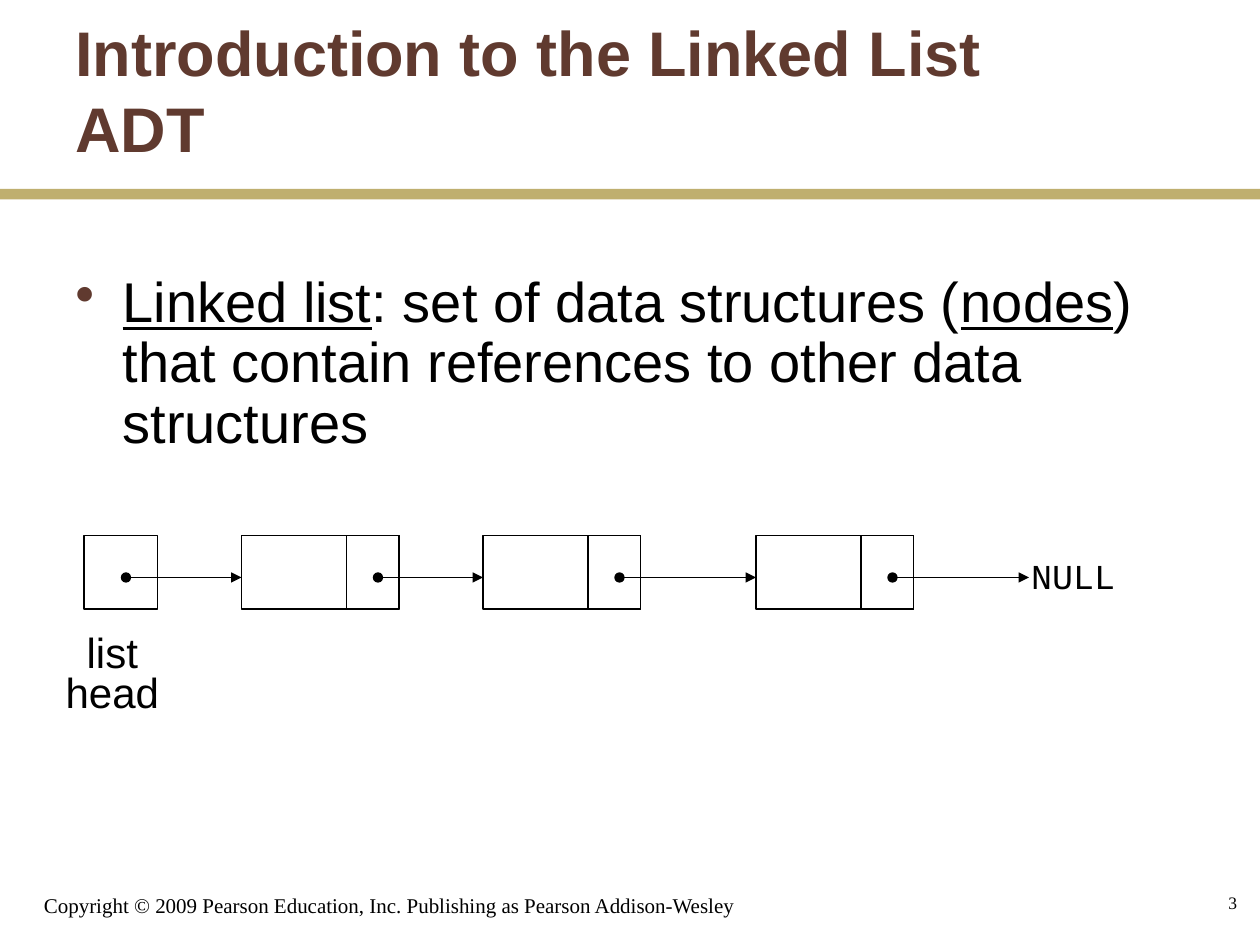
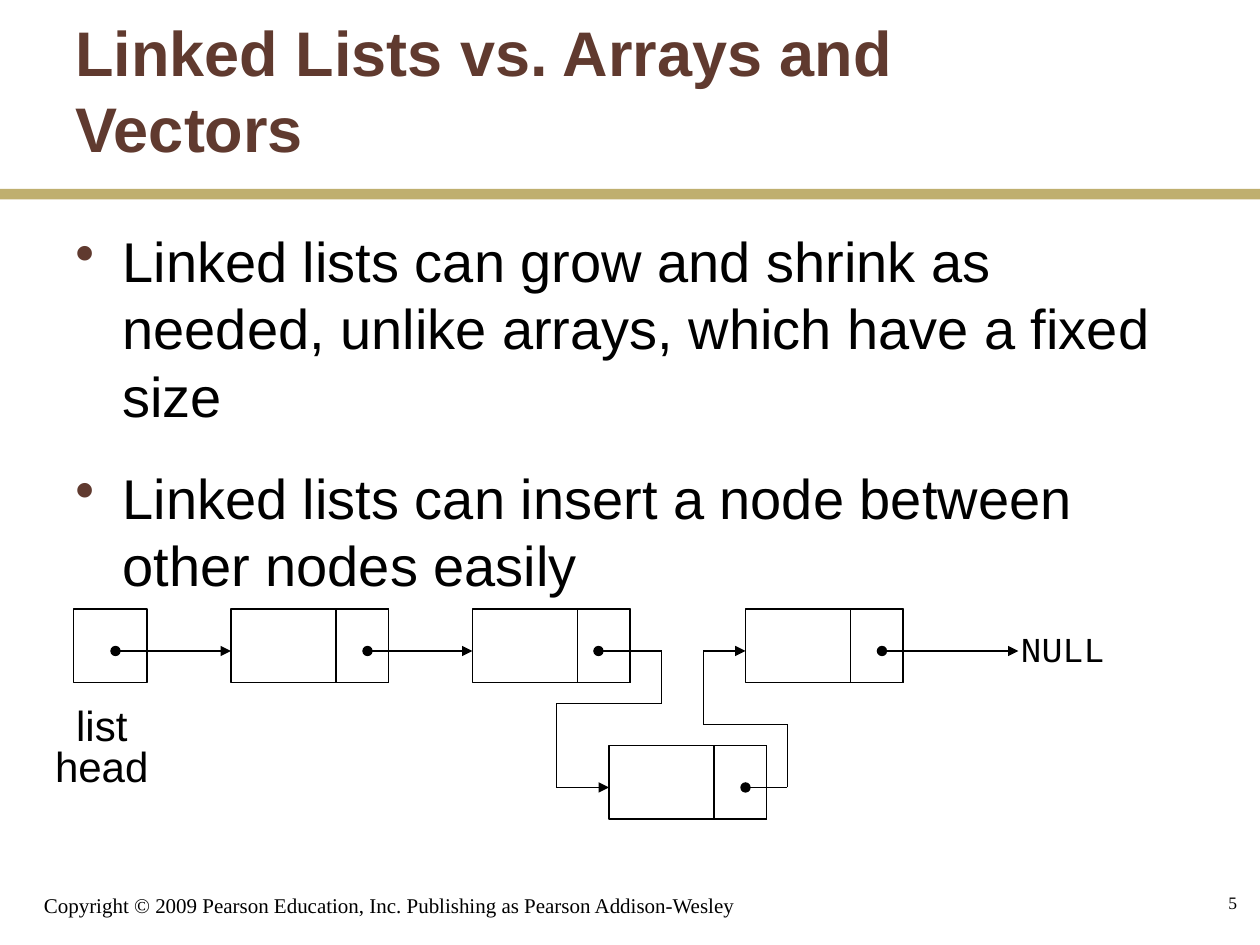
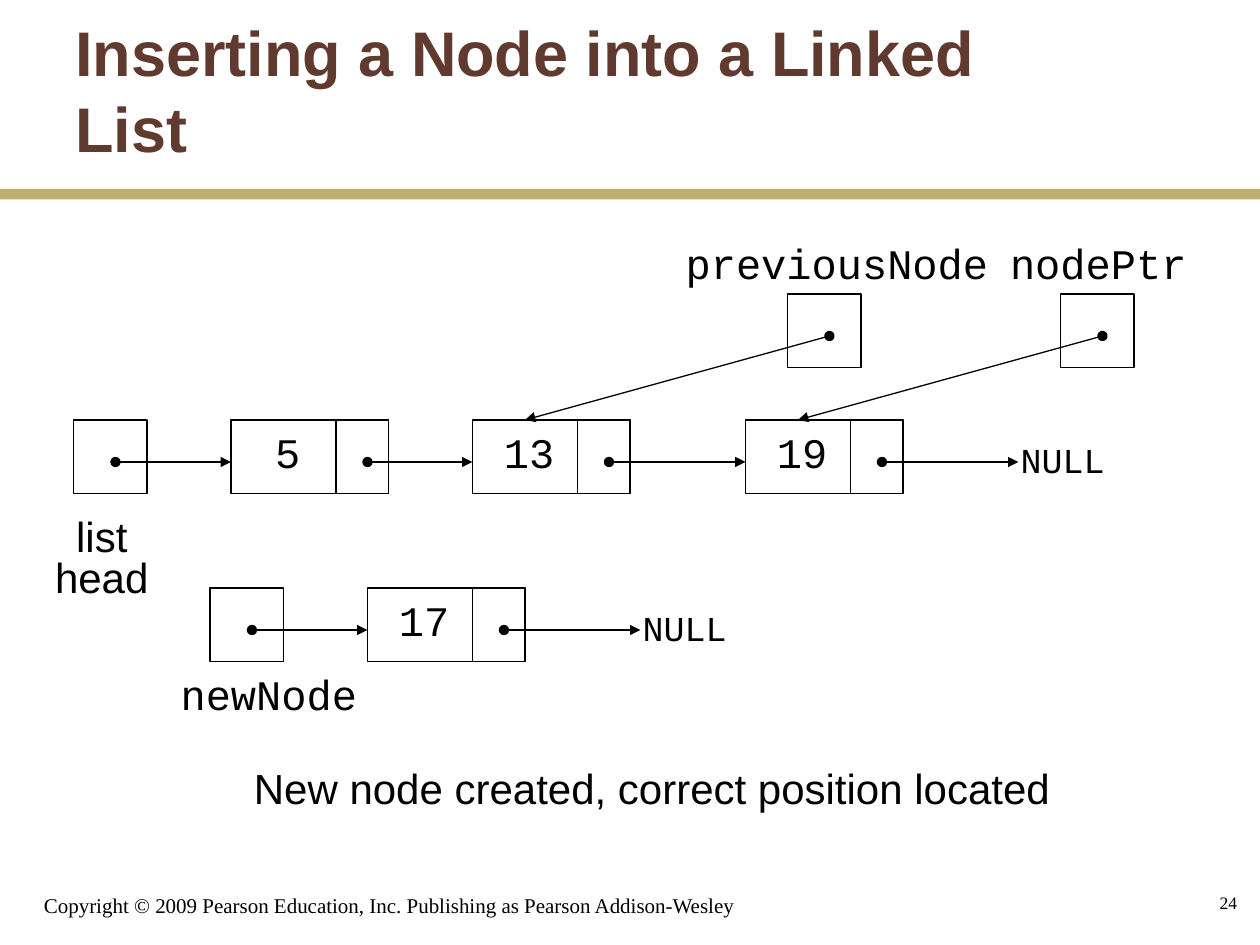
from dataclasses import dataclass

from lxml import etree
from pptx import Presentation
from pptx.dml.color import RGBColor
from pptx.enum.shapes import MSO_CONNECTOR, MSO_SHAPE
from pptx.enum.text import MSO_ANCHOR, MSO_AUTO_SIZE, PP_ALIGN
from pptx.oxml.ns import qn
from pptx.util import Cm, Pt

RECT, LINE = MSO_SHAPE.RECTANGLE, MSO_CONNECTOR.STRAIGHT
TOP, MIDDLE, BOTTOM = MSO_ANCHOR.TOP, MSO_ANCHOR.MIDDLE, MSO_ANCHOR.BOTTOM
LEFT, CENTER, RIGHT = PP_ALIGN.LEFT, PP_ALIGN.CENTER, PP_ALIGN.RIGHT
FIT = MSO_AUTO_SIZE.SHAPE_TO_FIT_TEXT


@dataclass(frozen=True)
class Theme:
    brown: str = "603A2F"
    gold: str = "BFAF6F"
    ink: str = "000000"
    sans: str = "Arial"
    mono: str = "Courier New"
    serif: str = "Times New Roman"
    title: int = 36
    body: int = 32
    label: int = 24
    null: int = 20
    foot: int = 12
    page: int = 10
    line: float = 0.75


T = Theme()

# The slide is a grid of 120 x 90 units; all places below are in units
GRID = 25.4 / 120
BOX, NODE, DATA = 7, 15, 10     # pointer box side, node width, data part
DOT, LINK, TIP = 4, 13, 26      # dot in a box, dot in a node, end of last arrow
STEPS = (15, 38, 64)            # nodes, counted from the list head

# Content: a row has its head, node places, values and the links drawn straight
FOOT = "Copyright © 2009 Pearson Education, Inc. Publishing as Pearson Addison-Wesley"
SLIDES = [
    {
        "title": "Introduction to the Linked List ADT",
        "page": "3",
        "body": {
            "at": (6, 25.5, 105, 19), "spacing": 0.9,
            "items": [[("Linked list", True), (": set of data structures (", False),
                       ("nodes", True),
                       (") that contain references to other data structures", False)]],
        },
        "rows": [{"head": (8, 51), "steps": STEPS, "list": True}],
    },
    {
        "title": "Linked Lists vs. Arrays and Vectors",
        "page": "5",
        "body": {
            "at": (6, 21, 109, 37), "spacing": None,
            "items": [
                [("Linked lists can grow and shrink as needed, unlike arrays, "
                  "which have a fixed size", False)],
                [("Linked lists can insert a node between other nodes easily", False)],
            ],
        },
        "rows": [{"head": (7, 58), "steps": STEPS, "list": True, "skip": 1}],
        "nodes": [(58, 71)],
        "routes": [
            [(57, 62), (63, 62), (63, 67), (53, 67), (53, 75), (58, 75)],
            [(71, 75), (75, 75), (75, 69), (67, 69), (67, 62), (71, 62)],
        ],
    },
    {
        "title": "Inserting a Node into a Linked List",
        "page": "24",
        "rows": [
            {"head": (7, 40), "steps": STEPS, "list": True, "values": ("5", "13", "19")},
            {"head": (20, 56), "steps": STEPS[:1], "values": ("17",)},
        ],
        "boxes": [(75, 28), (101, 28)],
        "routes": [[(79, 32), (50, 40)], [(105, 32), (76, 40)]],
        "names": [("newNode", 16, 64, 19.2), ("nodePtr", 95, 23, 19.2),
                  ("previousNode", 64.1, 23, 31.2)],
        "note": "New node created, correct position located",
    },
]


def cm(*units):
    return [Cm(unit * GRID) for unit in units]


def rgb(code):
    return RGBColor.from_string(code)


def style(par, font, size, color=T.ink, bold=False, align=LEFT, spacing=None):
    par.alignment = align
    if spacing:
        par.line_spacing = spacing
    par.font.name, par.font.size, par.font.bold = font, Pt(size), bold
    par.font.color.rgb = rgb(color)


def frame(slide, place, anchor=TOP, wrap=True):
    text = slide.shapes.add_textbox(*cm(*place)).text_frame
    text.word_wrap, text.vertical_anchor = wrap, anchor
    if not wrap:
        text.auto_size = FIT
    return text


def write(slide, place, lines, font, size, anchor=TOP, wrap=True, **look):
    text = frame(slide, place, anchor, wrap)
    for i, line in enumerate(lines):
        par = text.add_paragraph() if i else text.paragraphs[0]
        par.add_run().text = line
        style(par, font, size, **look)


def tag(slide, place, lines, font=T.mono, size=T.label, spacing=None, align=CENTER):
    write(slide, place, lines, font, size, wrap=False, spacing=spacing, align=align)


def bullet(par):
    props = par._p.get_or_add_pPr()
    indent = Cm(0.95)
    props.set("marL", str(indent))
    props.set("indent", str(-indent))
    color = etree.SubElement(props, qn("a:buClr"))
    etree.SubElement(color, qn("a:srgbClr"), val=T.brown)
    etree.SubElement(props, qn("a:buChar"), char="•")


def body(slide, at, items, spacing):
    text = frame(slide, at)
    for i, item in enumerate(items):
        par = text.add_paragraph() if i else text.paragraphs[0]
        bullet(par)
        style(par, T.sans, T.body, spacing=spacing)
        if i:
            par.space_before = Pt(20)
        for words, under in item:
            run = par.add_run()
            run.text = words
            if under:
                run.font.underline = True


def box(slide, x, y, width=BOX):
    shape = slide.shapes.add_shape(RECT, *cm(x, y, width, BOX))
    shape.shadow.inherit = False
    shape.fill.background()
    shape.line.color.rgb, shape.line.width = rgb(T.ink), Pt(T.line)


def node(slide, x, y):
    box(slide, x, y, NODE)
    box(slide, x + DATA, y, NODE - DATA)


def route(slide, points):
    """Draw a path with a dot at its start and an arrow at its end."""
    last = len(points) - 2
    for i, (start, end) in enumerate(zip(points, points[1:])):
        line = slide.shapes.add_connector(LINE, *cm(*start, *end))
        line.line.color.rgb, line.line.width = rgb(T.ink), Pt(T.line)
        props = line.element.spPr
        edge = props.find(qn("a:ln"))
        if i == 0:
            etree.SubElement(edge, qn("a:headEnd"), type="oval")
        if i == last:
            etree.SubElement(edge, qn("a:tailEnd"), type="triangle")
        etree.SubElement(props, qn("a:effectLst"))


def chain(slide, head, steps, values=(), list=False, skip=None):
    """Draw a head box, its nodes, the links and the closing NULL."""
    x, y = head
    mid = y + DOT
    spots = [x + step for step in steps]
    box(slide, x, y)
    for spot in spots:
        node(slide, spot, y)
    route(slide, [(x + DOT, mid), (spots[0], mid)])
    tip = spots[-1] + TIP
    for i, (spot, end) in enumerate(zip(spots, spots[1:] + [tip])):
        if i != skip:
            route(slide, [(spot + LINK, mid), (end, mid)])
    for spot, value in zip(spots, values):
        tag(slide, (spot + 1.8, y, 7.2, 6), [value])
    tag(slide, (tip - 1, y + 0.4, 10.4, 6), ["NULL"], size=T.null, spacing=1.2)
    if list:
        tag(slide, (x - 2.95, y + 9, 11.3, 8.9), ["list", "head"], T.sans, spacing=0.8)


def base(slide, title, page):
    """Draw the footer, band, title and page number that all slides share."""
    write(slide, (3, 83, 73, 5), [FOOT], T.serif, T.foot, BOTTOM)
    band = slide.shapes.add_shape(RECT, *cm(0, 18, 120, 1))
    band.shadow.inherit = False
    band.fill.solid()
    band.fill.fore_color.rgb = rgb(T.gold)
    band.line.fill.background()
    write(slide, (6, 1, 100, 15), [title], T.sans, T.title, MIDDLE,
          color=T.brown, bold=True)
    write(slide, (94, 83, 25, 6), [page], T.serif, T.page, MIDDLE, align=RIGHT)


def main():
    deck = Presentation()
    deck.slide_width, deck.slide_height = cm(120, 90)
    for data in SLIDES:
        slide = deck.slides.add_slide(deck.slide_layouts[6])
        base(slide, data["title"], data["page"])
        if "body" in data:
            body(slide, **data["body"])
        # Linked list diagram
        for row in data["rows"]:
            chain(slide, **row)
        for spot in data.get("nodes", []):
            node(slide, *spot)
        for spot in data.get("boxes", []):
            box(slide, *spot)
        for points in data.get("routes", []):
            route(slide, points)
        # Labels and closing note
        for name, x, y, width in data.get("names", []):
            tag(slide, (x, y, width, 5), [name], spacing=0.8)
        if "note" in data:
            tag(slide, (23, 72, 78.2, 6), [data["note"]], T.sans, align=LEFT)
    deck.save("out.pptx")


if __name__ == "__main__":
    main()
